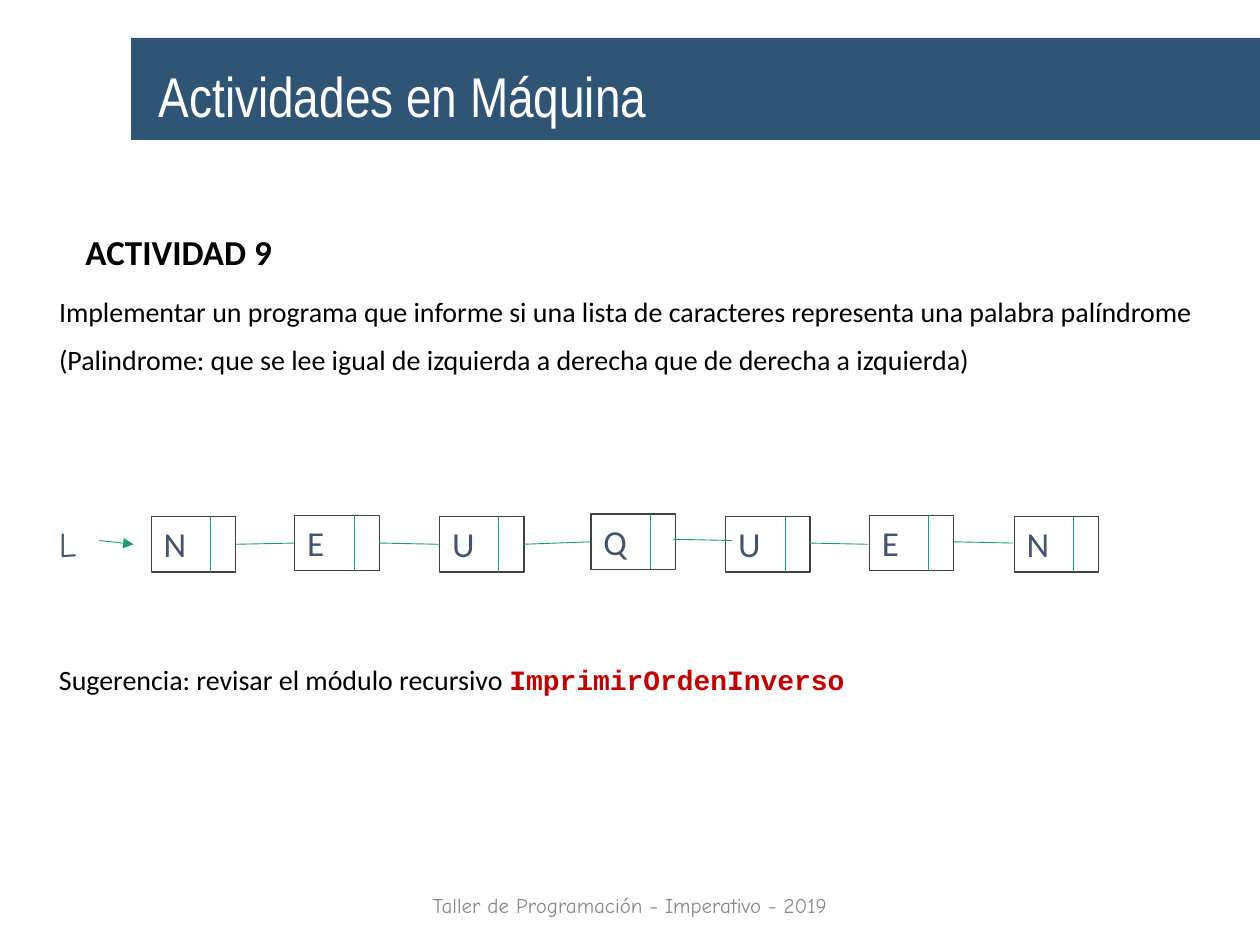
from lxml.etree import SubElement
from pptx import Presentation
from pptx.dml.color import RGBColor
from pptx.enum.shapes import MSO_CONNECTOR as Conn, MSO_SHAPE as Shape
from pptx.enum.text import MSO_ANCHOR as Anchor, MSO_AUTO_SIZE as Fit, PP_ALIGN as Align
from pptx.oxml.ns import qn
from pptx.util import Inches, Pt

THEME = {
    "band": "305574", "edge": "404040", "link": "1D9A78",
    "title": ("Arial Narrow", 32, "FFFFFF", False),
    "head": ("Calibri", 20, "000000", True),
    "body": ("Calibri", 16, "000000", False),
    "code": ("Courier New", 16, "C00000", True),
    "node": ("Calibri", 20, "44546A", False),
    "list": ("Comic Neue", 20, "44546A", False),
    "foot": ("Comic Neue", 12, "898989", False),
}

TITLE = [[("Actividades en Máquina", "title")]]
HEAD = [[("ACTIVIDAD 9", "head")]]
TASK = [
    [("Implementar un programa que informe si una lista de caracteres "
      "representa una palabra palíndrome", "body")],
    [("(Palindrome: que se lee igual de izquierda a derecha que de derecha "
      "a izquierda)", "body")],
]
HINT = [[("Sugerencia: revisar el módulo recursivo ", "body"),
         ("ImprimirOrdenInverso", "code")]]
FOOT = [[("Taller de Programación - Imperativo - 2019", "foot")]]

# letter, left, top
NODES = [("N", 1.2, 4.1), ("E", 2.34, 4.09), ("U", 3.49, 4.1), ("Q", 4.69, 4.08),
         ("U", 5.76, 4.1), ("E", 6.9, 4.09), ("N", 8.05, 4.1)]
NODE_W, NODE_H, SPLIT = 0.67, 0.44, 0.47
# x and y of start, x and y of end
LINKS = [(1.87, 4.32, 2.34, 4.31), (3.01, 4.31, 3.49, 4.32), (4.15, 4.32, 4.69, 4.3),
         (5.34, 4.28, 5.81, 4.29), (6.42, 4.31, 6.89, 4.32), (7.57, 4.3, 8.04, 4.31)]
HEAD_LINK = (0.79, 4.29, 1.06, 4.32)


def color(name):
    return RGBColor.from_string(THEME.get(name, name))


def write(shape, paras, align=Align.LEFT, anchor=Anchor.TOP, lines=None, gap=0, wrap=True):
    frame = shape.text_frame
    frame.word_wrap = wrap
    frame.auto_size = Fit.NONE
    frame.vertical_anchor = anchor
    for i, runs in enumerate(paras):
        para = frame.add_paragraph() if i else frame.paragraphs[0]
        para.alignment = align
        para.line_spacing = lines
        para.space_before = Pt(gap if i else 0)
        for text, style in runs:
            run = para.add_run()
            run.text = text
            font = run.font
            font.name, size, tint, font.bold = THEME[style]
            font.size = Pt(size)
            font.color.rgb = color(tint)


def add_text(slide, at, paras, **opts):
    box = slide.shapes.add_textbox(*map(Inches, at))
    write(box, paras, **opts)


def add_rect(shapes, at):
    rect = shapes.add_shape(Shape.RECTANGLE, *map(Inches, at))
    rect.shadow.inherit = False
    return rect


def add_line(shapes, ends, arrow=False):
    line = shapes.add_connector(Conn.STRAIGHT, *map(Inches, ends))
    line.line.color.rgb = color("link")
    line.line.width = Pt(0.5)
    if arrow:
        SubElement(line.line._get_or_add_ln(), qn("a:tailEnd"), type="triangle")
    SubElement(line._element.spPr, qn("a:effectLst"))


def add_node(slide, text, x, y):
    """Draw a list cell: letter on the left, pointer field on the right."""
    shapes = slide.shapes.add_group_shape().shapes
    cell = add_rect(shapes, (x, y, NODE_W, NODE_H))
    cell.fill.background()
    cell.line.color.rgb = color("edge")
    cell.line.width = Pt(0.75)
    write(cell, [[(text, "node")]])
    add_line(shapes, (x + SPLIT, y, x + SPLIT, y + NODE_H))


def add_title(slide):
    band = add_rect(slide.shapes, (1.04, 0.3, 8.96, 0.81))
    band.fill.solid()
    band.fill.fore_color.rgb = color("band")
    band.line.fill.background()
    title = slide.shapes.title
    title.left, title.top, title.width, title.height = map(Inches, (1.16, 0.4, 4.12, 0.52))
    write(title, TITLE, align=Align.JUSTIFY, anchor=Anchor.MIDDLE, lines=1.35)
    band._element.addnext(title._element)  # keeps the title in front of the band


def main():
    deck = Presentation()
    deck.slide_width, deck.slide_height = Inches(10), Inches(7.5)
    slide = deck.slides.add_slide(deck.slide_layouts[5])
    add_text(slide, (0.37, 2.32, 9.31, 0.85), TASK, lines=0.9, gap=10)
    add_text(slide, (3.31, 6.95, 3.38, 0.4), FOOT, align=Align.CENTER,
             anchor=Anchor.MIDDLE, lines=1.35)
    for node in NODES:
        add_node(slide, *node)
    for link in LINKS:
        add_line(slide.shapes, link)
    add_text(slide, (0.37, 4.1, 0.36, 0.44), [[("L", "list")]], wrap=False)
    add_line(slide.shapes, HEAD_LINK, arrow=True)
    add_text(slide, (0.58, 1.78, 1.7, 0.44), HEAD, align=Align.JUSTIFY, wrap=False)
    add_text(slide, (0.37, 5.21, 9.1, 0.37), HINT)
    add_title(slide)
    deck.save("out.pptx")


if __name__ == "__main__":
    main()
